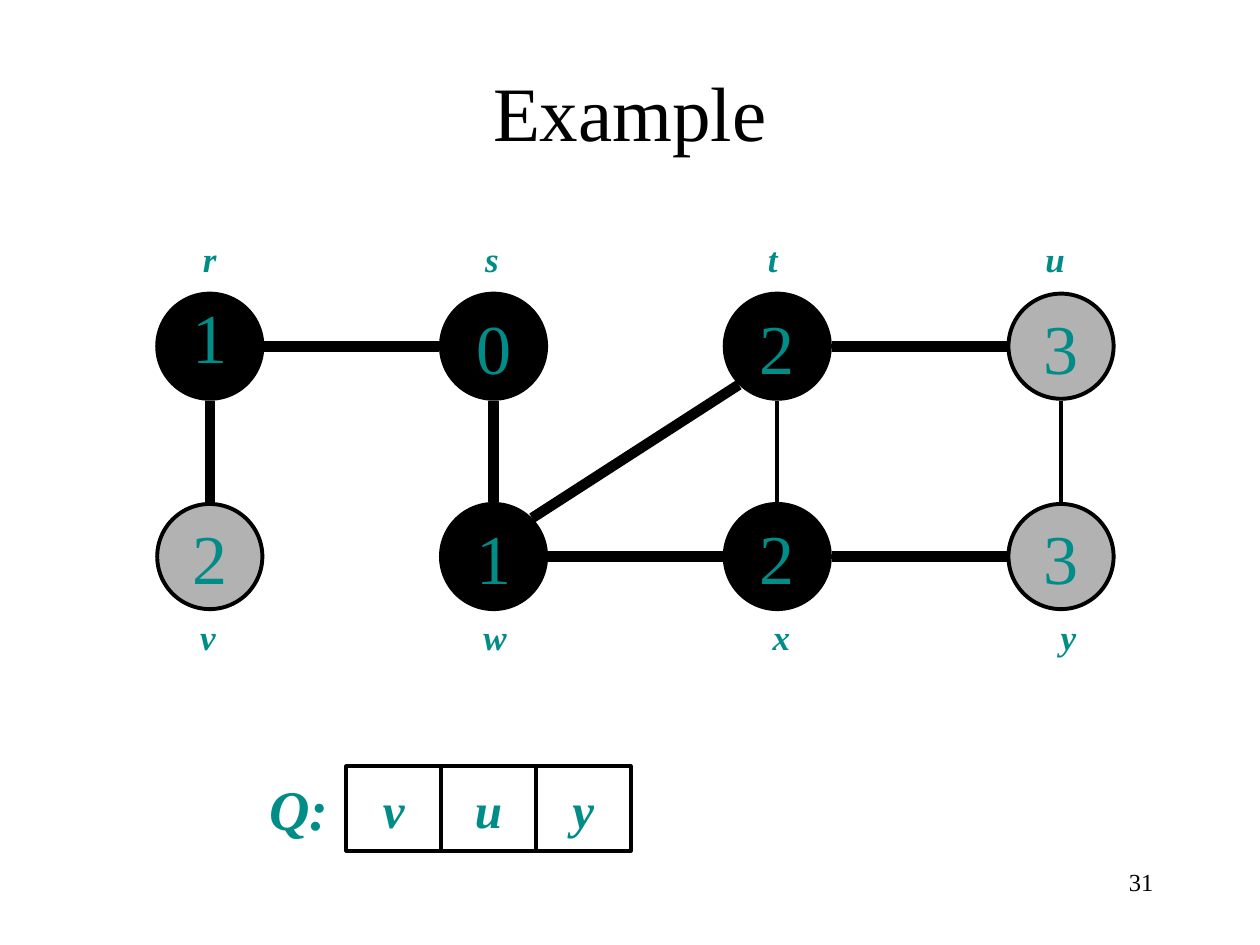
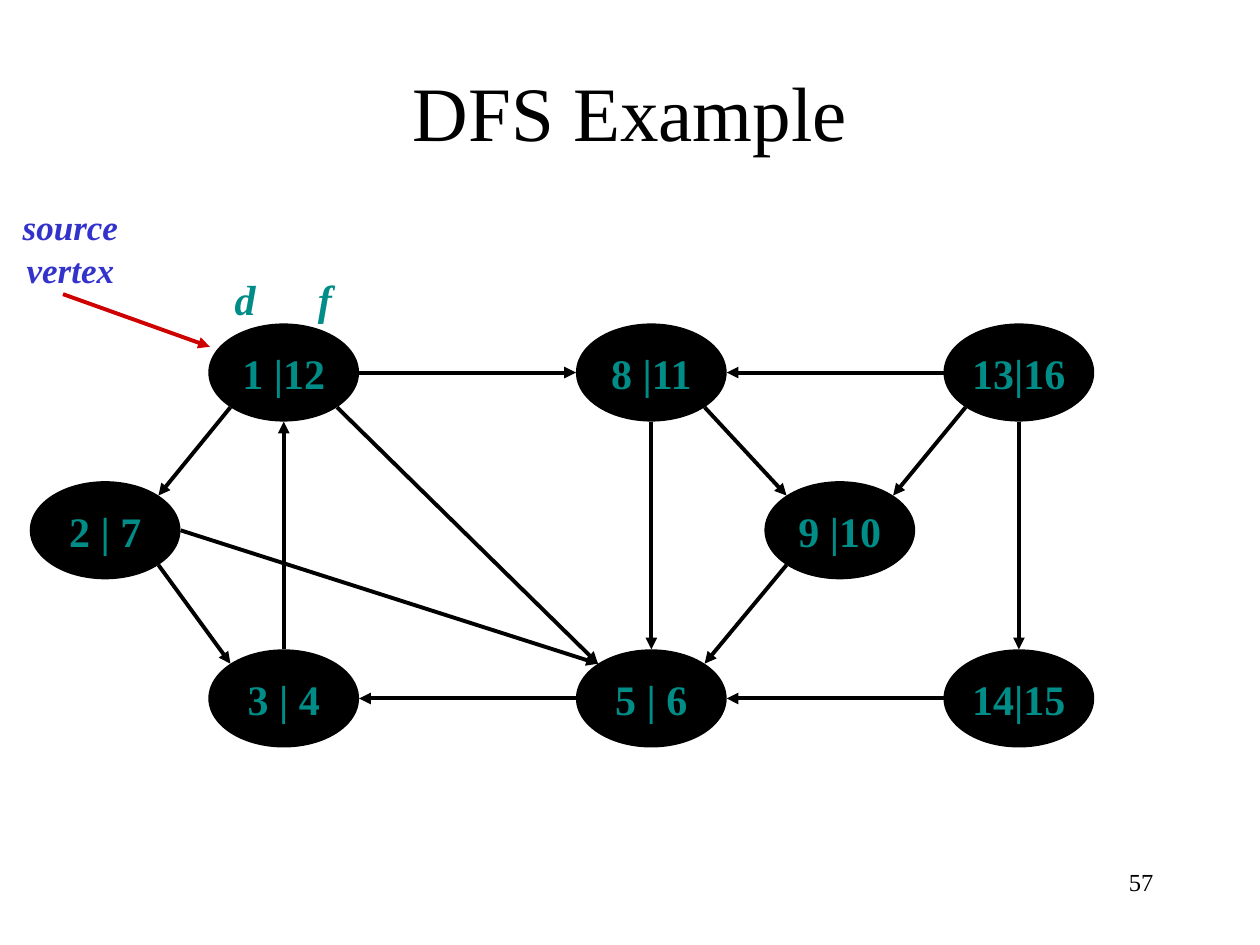
from collections import namedtuple
from math import cos, radians, sin

from pptx import Presentation
from pptx.dml.color import RGBColor
from pptx.enum.shapes import MSO_CONNECTOR as Connector, MSO_SHAPE as Preset
from pptx.enum.text import MSO_ANCHOR as Anchor, PP_ALIGN as Align
from pptx.oxml.ns import qn
from pptx.util import Cm, Pt
from lxml.etree import SubElement

COLORS = {
    "black": "000000",
    "white": "FFFFFF",
    "gray": "B2B2B2",
    "teal": "008C87",
    "blue": "3333CC",
    "red": "CE0000",
}
FONT = "Times New Roman"
THIN, THICK = 2.25, 6
EDGE_GAP = 0.04  # cm between an ellipse and the edges that meet it
COMPASS = {"E": 0, "SE": 45, "S": 90, "SW": 135, "W": 180, "NW": 225, "N": 270, "NE": 315}

Node = namedtuple("Node", "x y width height")


def color(name):
    return RGBColor.from_string(COLORS[name])


def port(node, direction):
    """Point on the rim of a node, in cm, seen from its centre."""
    angle = radians(COMPASS[direction])
    return (node.x + (node.width / 2 + EDGE_GAP) * cos(angle),
            node.y + (node.height / 2 + EDGE_GAP) * sin(angle))


class Deck:
    """Holds the shared style and the current slide; positions are centres in cm."""

    def __init__(self):
        self.presentation = Presentation()
        self.presentation.slide_width = Cm(25.4)
        self.presentation.slide_height = Cm(19.05)
        self.slide = None

    def add_slide(self, title, number):
        self.slide = self.presentation.slides.add_slide(self.presentation.slide_layouts[5])
        background = self.slide.background.fill
        background.solid()
        background.fore_color.rgb = color("white")
        heading = self.slide.shapes.title
        heading.left, heading.top = Cm(1.9), Cm(0.64)
        heading.width, heading.height = Cm(21.6), Cm(3.18)
        self.set_text(heading, [title], 44, "black", wrap=True)
        footer = self.slide.shapes.add_textbox(Cm(18.2), Cm(17.36), Cm(5.3), Cm(1.27))
        self.set_text(footer, [number], 14, "black", align=Align.RIGHT,
                      anchor=Anchor.TOP, wrap=True)

    def set_text(self, shape, lines, size, text_color, bold=False, italic=False,
                 align=Align.CENTER, anchor=Anchor.MIDDLE, wrap=False, spacing=None):
        frame = shape.text_frame
        frame.word_wrap = wrap
        frame.vertical_anchor = anchor
        for index, line in enumerate(lines):
            paragraph = frame.add_paragraph() if index else frame.paragraphs[0]
            paragraph.alignment = align
            if spacing:
                paragraph.line_spacing = spacing
            run = paragraph.add_run()
            run.text = line
            font = run.font
            font.name, font.size = FONT, Pt(size)
            font.bold, font.italic = bold, italic
            font.color.rgb = color(text_color)

    def label(self, x, y, lines, size, text_color="teal", width=1.0, height=1.12):
        box = self.slide.shapes.add_textbox(
            Cm(x - width / 2), Cm(y - height / 2), Cm(width), Cm(height))
        self.set_text(box, lines, size, text_color, bold=True, italic=True)

    def outlined(self, preset, node, text, size, fill=None, **style):
        shape = self.slide.shapes.add_shape(
            preset, Cm(node.x - node.width / 2), Cm(node.y - node.height / 2),
            Cm(node.width), Cm(node.height))
        shape.shadow.inherit = False
        if fill:
            shape.fill.solid()
            shape.fill.fore_color.rgb = color(fill)
        else:
            shape.fill.background()
        shape.line.color.rgb = color("black")
        shape.line.width = Pt(THIN)
        self.set_text(shape, [text], size, "teal", **style)

    def line(self, start, end, width=THIN, line_color="black", arrow=False):
        connector = self.slide.shapes.add_connector(
            Connector.STRAIGHT, *(Cm(value) for value in (*start, *end)))
        connector.line.color.rgb = color(line_color)
        connector.line.width = Pt(width)
        properties = connector._element.spPr
        if arrow:
            SubElement(properties.find(qn("a:ln")), qn("a:tailEnd"), type="triangle")
        SubElement(properties, qn("a:effectLst"))

    def edges(self, nodes, routes, **style):
        """Each route reads: start node, its side, end node, its side."""
        for route in routes:
            start, start_side, end, end_side = route.split()
            self.line(port(nodes[start], start_side), port(nodes[end], end_side), **style)


def build_bfs(deck):
    deck.add_slide("Example", "31")

    # Vertices: name, distance, fill, centre of the name label
    rows = [
        (6.98, 5.21, [("r", "1", "black", 4.23), ("s", "0", "black", 9.92),
                      ("t", "2", "black", 15.58), ("u", "3", "gray", 21.27)]),
        (11.22, 12.83, [("v", "2", "gray", 4.19), ("w", "1", "black", 9.98),
                        ("x", "2", "black", 15.75), ("y", "3", "gray", 21.54)]),
    ]
    nodes = {}
    for node_y, label_y, vertices in rows:
        for column, (name, distance, fill, label_x) in enumerate(vertices):
            nodes[name] = Node(4.23 + 5.72 * column, node_y, 2.12, 2.12)
            deck.outlined(Preset.OVAL, nodes[name], distance, 40, fill,
                          spacing=0.7 if name == "r" else None)
            deck.label(label_x, label_y, [name], 20)

    # Tree edges are thick, the others thin
    deck.edges(nodes, ["v N r S", "r E s W", "s S w N", "w NE t SW",
                       "w E x W", "t E u W", "x E y W"], width=THICK)
    deck.edges(nodes, ["x N t S", "y N u S"])

    # Queue
    queue_x, queue_y, cell_width, cell_height = 6.03, 16.3, 1.91, 1.7
    deck.label(queue_x, queue_y, ["Q:"], 32, width=cell_width, height=cell_height)
    for position, name in enumerate("vuy", start=1):
        cell = Node(queue_x + position * cell_width, queue_y, cell_width, cell_height)
        deck.outlined(Preset.RECTANGLE, cell, name, 28, bold=True, italic=True)


def build_dfs(deck):
    deck.add_slide("DFS Example", "57")

    # Vertices, placed on three columns and the two gaps beside them
    left, center, right = (5.72 + 7.41 * column for column in range(3))
    top, middle, bottom = 7.51, 10.69, 14.08
    vertices = [
        ("source", "1 |12", left, top), ("hub", "8 |11", center, top),
        ("root", "13|16", right, top), ("end", "14|15", right, bottom),
        ("sink", "5 | 6", center, bottom), ("back", "3 | 4", left, bottom),
        ("child", "2 | 7", 2.12, middle), ("leaf", "9 |10", 16.93, middle),
    ]
    nodes = {}
    for name, times, x, y in vertices:
        nodes[name] = Node(x, y, 2.96, 1.9)
        deck.outlined(Preset.OVAL, nodes[name], times, 24, "black", bold=True)

    # Directed edges
    deck.edges(nodes, [
        "source SW child NE", "child SE back NW", "child E sink NW", "sink W back E",
        "back N source S", "source SE sink NW", "hub S sink N", "source E hub W",
        "root W hub E", "hub SE leaf NW", "root SW leaf NE", "root S end N",
        "end W sink E", "leaf SW sink NE",
    ], arrow=True)

    # Source marker and headings of the two times
    deck.line((1.27, 5.93), (4.23, 6.99), line_color="red", arrow=True)
    deck.label(1.42, 5, ["source", "vertex"], 20, "blue", width=2.44, height=1.96)
    for heading, x in (("d", 4.94), ("f", 6.55)):
        deck.label(x, 6.03, [heading], 24)


def main():
    deck = Deck()
    build_bfs(deck)
    build_dfs(deck)
    deck.presentation.save("out.pptx")


if __name__ == "__main__":
    main()
